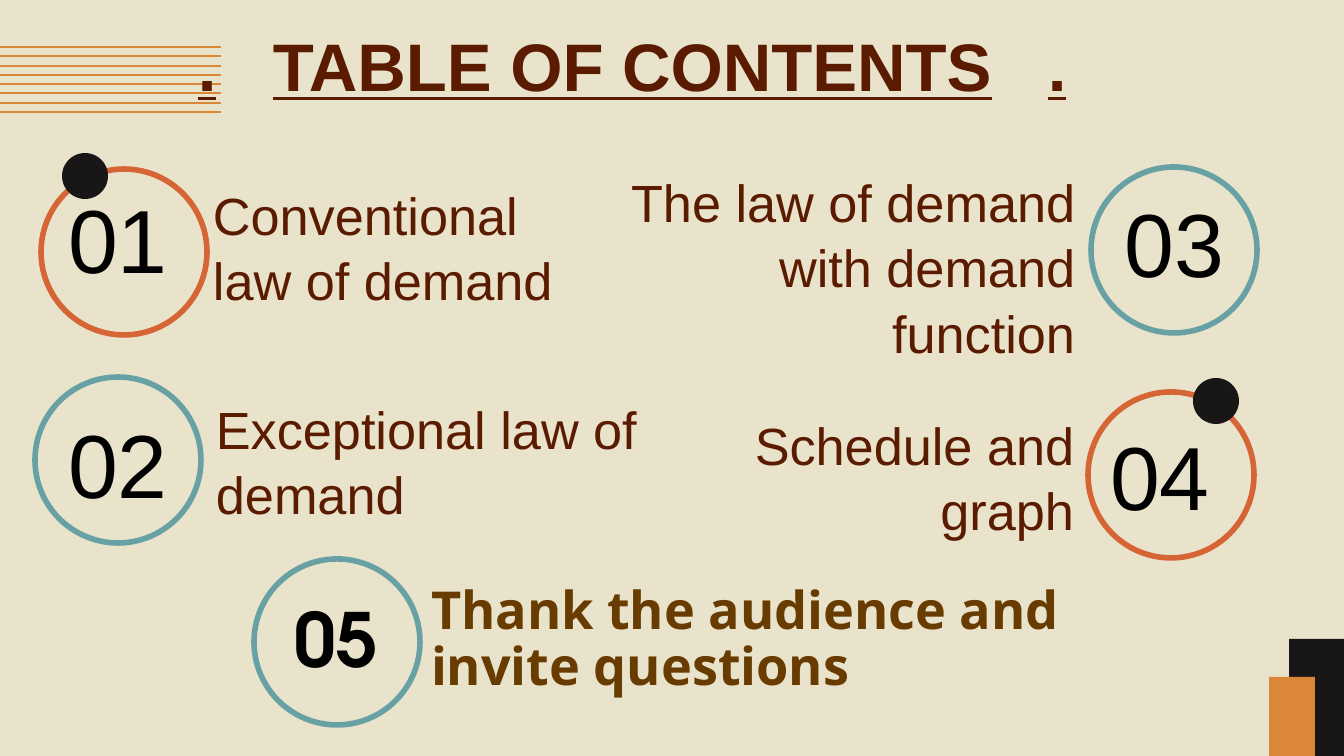
from lxml import etree
from pptx import Presentation
from pptx import util as u
from pptx.dml.color import RGBColor
from pptx.enum import shapes, text
from pptx.oxml import ns

COLORS = {"cream": "E9E3CB", "amber": "DA8737", "ink": "191617", "brown": "5A1B00",
          "umber": "683C00", "black": "000000", "teal": "68A1A4", "rust": "D56534"}
SCALE = 914400 / 134.4
LEFT, CENTER, RIGHT = text.PP_ALIGN.LEFT, text.PP_ALIGN.CENTER, text.PP_ALIGN.RIGHT
TOP, BOTTOM = text.MSO_ANCHOR.TOP, text.MSO_ANCHOR.BOTTOM
RING, DOT = 166, 46


def px(n):
    return u.Emu(round(n * SCALE))


def rgb(name):
    return RGBColor.from_string(COLORS[name])


class Deck:
    def __init__(self, width, height):
        self.prs = Presentation()
        self.prs.slide_width, self.prs.slide_height = px(width), px(height)

    def slide(self, color):
        self.s = self.prs.slides.add_slide(self.prs.slide_layouts[6])
        fill = self.s.background.fill
        fill.solid()
        fill.fore_color.rgb = rgb(color)

    def line(self, x1, y1, x2, y2, color, width=1.5):
        ln = self.s.shapes.add_connector(shapes.MSO_CONNECTOR.STRAIGHT,
                                         px(x1), px(y1), px(x2), px(y2))
        ln.line.color.rgb = rgb(color)
        ln.line.width = u.Pt(width)
        etree.SubElement(ln._element.spPr, ns.qn("a:effectLst"))

    def shape(self, kind, x, y, w, h, fill=None, line=None):
        sp = self.s.shapes.add_shape(kind, px(x), px(y), px(w), px(h))
        sp.shadow.inherit = False
        if fill:
            sp.fill.solid()
            sp.fill.fore_color.rgb = rgb(fill)
        else:
            sp.fill.background()
        if line:
            sp.line.color.rgb = rgb(line)
            sp.line.width = u.Pt(3)
        else:
            sp.line.fill.background()

    def rect(self, x, y, w, h, fill):
        self.shape(shapes.MSO_SHAPE.RECTANGLE, x, y, w, h, fill=fill)

    def ring(self, x, y, color):
        self.shape(shapes.MSO_SHAPE.OVAL, x, y, RING, RING, line=color)

    def dot(self, x, y):
        self.shape(shapes.MSO_SHAPE.OVAL, x, y, DOT, DOT, fill="ink")

    def text(self, box, lines, size, color="brown", align=LEFT, anchor=TOP, font="Arial",
             spacing=None, insets=(13, 13, 13, 13), tabs=(), **style):
        tf = self.s.shapes.add_textbox(*map(px, box)).text_frame
        sides = ("margin_left", "margin_top", "margin_right", "margin_bottom")
        frame = dict(zip(sides, map(px, insets)), word_wrap=True, vertical_anchor=anchor)
        for key, value in frame.items():
            setattr(tf, key, value)
        for i, words in enumerate(lines):
            p = tf.add_paragraph() if i else tf.paragraphs[0]
            p.alignment, p.line_spacing = align, spacing
            if tabs:
                stops = etree.SubElement(p._p.get_or_add_pPr(), ns.qn("a:tabLst"))
                for pos in tabs:
                    etree.SubElement(stops, ns.qn("a:tab"), pos=str(px(pos)), algn="l")
            r = p.add_run()
            r.text = words
            for key, value in dict(style, name=font, size=u.Pt(size)).items():
                setattr(r.font, key, value)
            r.font.color.rgb = rgb(color)


def main():
    d = Deck(1344, 756)
    d.slide("cream")

    # Stripes at top left, blocks at bottom right
    for i in range(8):
        y = 47 + round(i * 65 / 7)
        d.line(0, y, 221, y, "amber")
    d.rect(1289, 639, 55, 117, "ink")
    d.rect(1269, 677, 46, 79, "amber")

    # Title: the underline runs on through the tabs
    d.text((163, 11, 997, 108), [".\tTABLE OF CONTENTS\t.\t"], 36, bold=True, underline=True,
           insets=(35, 13, 13, 13), tabs=(75, 850, 925))

    # Topics
    topics = [
        ((200, 165, 405, 100), "Conventional law of demand", LEFT),
        ((203, 379, 450, 100), "Exceptional law of demand", LEFT),
        ((581, 152, 507, 267), "The law of demand with demand function", RIGHT),
        ((618, 395, 469, 100), "Schedule and graph", RIGHT),
    ]
    for box, words, align in topics:
        d.text(box, [words], 28, align=align, spacing=1.04, insets=(13, 16, 13, 13))

    # Numbers
    numbers = [("01", 35, 171, 133), ("02", 35, 396, 133),
               ("03", 1091, 176, 133), ("04", 1077, 313, 229)]
    for number, x, y, h in numbers:
        d.text((x, y, RING, h), [number], 48, "black", CENTER, BOTTOM)

    # Rings and dots
    for x, y, color in [(35, 377, "teal"), (1091, 167, "teal"), (41, 169, "rust"),
                        (1088, 392, "rust"), (254, 559, "teal")]:
        d.ring(x, y, color)
    d.dot(62, 153)
    d.dot(1193, 378)

    # Closing item
    d.text((274, 586, 125, 103), ["05"], 40, "black", CENTER, font="TeX Gyre Adventor",
           insets=(13, 7, 13, 7), bold=True)
    d.text((418, 577, 753, 140), ["Thank the audience and", "invite questions"], 28, "umber",
           font="Open Sans", spacing=0.9, insets=(13, 7, 13, 7), bold=True)

    d.prs.save("out.pptx")


if __name__ == "__main__":
    main()
